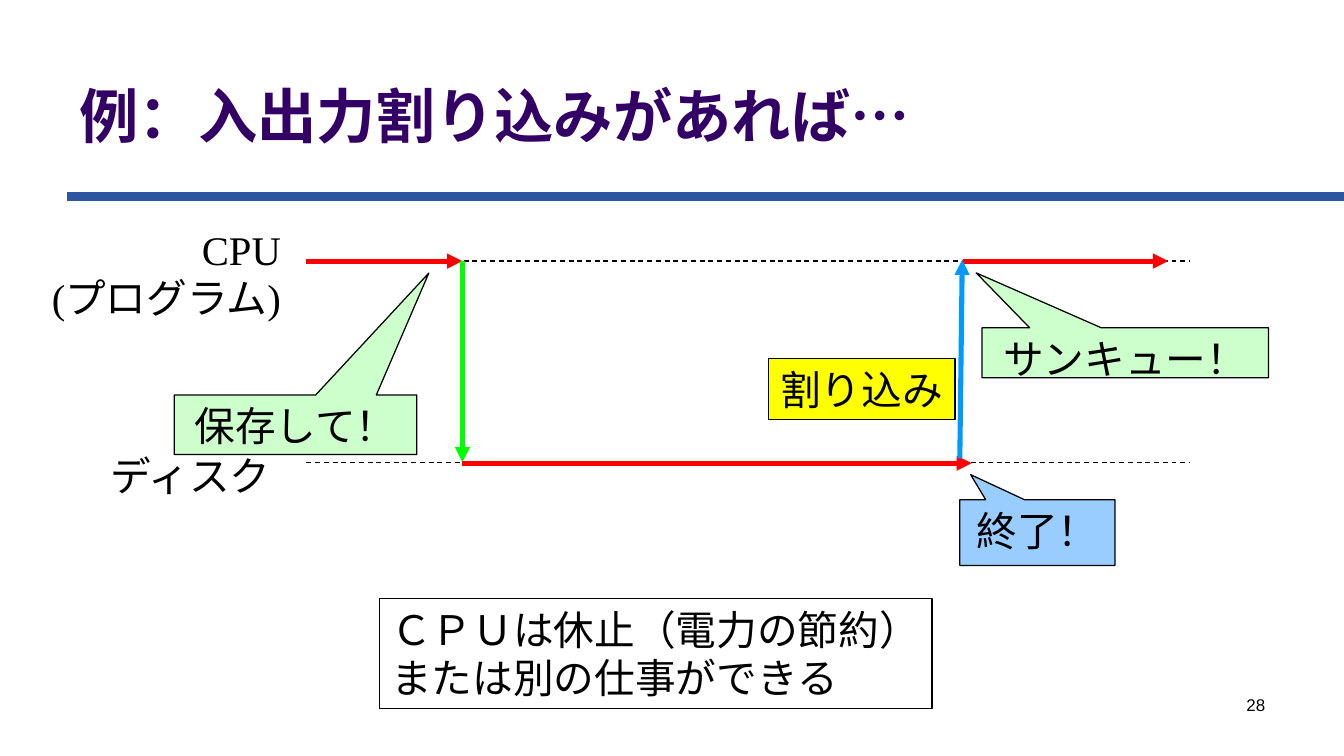
from lxml import etree
from pptx import Presentation
from pptx.dml.color import RGBColor
from pptx.enum.dml import MSO_LINE
from pptx.enum.shapes import MSO_CONNECTOR, MSO_SHAPE
from pptx.enum.text import MSO_ANCHOR, PP_ALIGN
from pptx.oxml.ns import qn
from pptx.util import Cm, Pt

STRAIGHT, DASH = MSO_CONNECTOR.STRAIGHT, MSO_LINE.DASH
RECT, CALLOUT = MSO_SHAPE.RECTANGLE, MSO_SHAPE.RECTANGULAR_CALLOUT
TOP, BOTTOM = MSO_ANCHOR.TOP, MSO_ANCHOR.BOTTOM
LEFT, CENTER, RIGHT = PP_ALIGN.LEFT, PP_ALIGN.CENTER, PP_ALIGN.RIGHT
SERIF, SANS, GOTHIC = "Times New Roman", "Arial", "Noto Sans CJK JP"
COLORS = {
    "black": "000000", "white": "FFFFFF", "navy": "2D56A0", "purple": "330066",
    "red": "FF0000", "green": "00FF00", "blue": "0099FF",
    "mint": "CCFFCC", "sky": "99CCFF", "yellow": "FFFF00",
}
RGB = {name: RGBColor.from_string(code) for name, code in COLORS.items()}


def write(shape, text, align=LEFT, size=24, font=SERIF, color="black",
          bold=False, wrap=True, anchor=TOP):
    """Fill a shape with text, one paragraph per line."""
    frame = shape.text_frame
    frame.text = text
    frame.word_wrap = wrap
    frame.vertical_anchor = anchor
    for para in frame.paragraphs:
        para.alignment = align
        para.font.size = Pt(size)
        para.font.bold = bold
        para.font.color.rgb = RGB[color]
        para.font.name = font
        props = para._p.pPr.find(qn("a:defRPr"))
        etree.SubElement(props, qn("a:ea"), typeface=GOTHIC)


def draw(start, end, color, width, dash=None, arrow=False):
    """Draw a straight line between two points given in centimetres."""
    line = slide.shapes.add_connector(
        STRAIGHT, *(Cm(v) for v in (*start, *end)))
    line.line.color.rgb = RGB[color]
    line.line.width = Pt(width)
    if dash:
        line.line.dash_style = dash
    if arrow:
        etree.SubElement(line.line._get_or_add_ln(), qn("a:tailEnd"),
                         type="triangle")
    etree.SubElement(line._element.spPr, qn("a:effectLst"))


deck = Presentation()
deck.slide_width, deck.slide_height = Cm(27.99), Cm(15.75)
slide = deck.slides.add_slide(deck.slide_layouts[5])

title = slide.shapes.title
title.left, title.top = Cm(1.4), Cm(0.28)
title.width, title.height = Cm(23.09), Cm(2.97)
write(title, "例：入出力割り込みがあれば…", size=35, font=GOTHIC,
      color="purple", bold=True, anchor=BOTTOM)
draw((1.4, 4.09), (27.99, 4.09), "navy", 5.67)

# Time lines
CPU, DISK = 5.44, 9.63
SAVE, DONE = 9.63, 20.05
for y in (CPU, DISK):
    draw((6.38, y), (24.79, y), "black", 0.75, dash=DASH)

# Labels
labels = [
    ("CPU\n(プログラム)", (0.79, 4.55, 5.31, 2.29), RIGHT, 24, SERIF, True),
    ("ディスク", (2.06, 9.27, 3.89, 1.27), LEFT, 24, SERIF, False),
    ("28", (20.07, 14.35, 6.53, 1.04), RIGHT, 10, SANS, True),
]
for text, place, align, size, font, wrap in labels:
    box = slide.shapes.add_textbox(*(Cm(v) for v in place))
    write(box, text, align, size, font, wrap=wrap)

# Flow of control
flow = [
    ((6.38, CPU), (SAVE, CPU), "red"),
    ((SAVE, CPU), (SAVE, DISK), "green"),
    ((DONE, CPU), (24.33, CPU), "red"),
    ((SAVE, 9.65), (20.24, 9.65), "red"),
    ((19.99, 9.55), (20.04, 5.41), "blue"),
]
for start, end, color in flow:
    draw(start, end, color, 3, arrow=True)

# Callouts and notes
boxes = [
    ("保存して！", (3.63, 8.23, 5.05, 1.24), "mint", (0.55, -2.55)),
    ("サンキュー！", (20.45, 6.83, 5.97, 1.04), "mint", (-0.52, -1.6)),
    ("終了！", (19.99, 10.41, 3.23, 1.37), "sky", (-0.43, -0.88)),
    ("割り込み", (16, 7.47, 3.89, 1.27), "yellow", None),
    ("ＣＰＵは休止（電力の節約）\nまたは別の仕事ができる",
     (7.9, 12.47, 11.51, 2.29), "white", None),
]
for text, place, fill, tip in boxes:
    box = slide.shapes.add_shape(CALLOUT if tip else RECT,
                                 *(Cm(v) for v in place))
    box.shadow.inherit = False
    box.fill.solid()
    box.fill.fore_color.rgb = RGB[fill]
    box.line.color.rgb = RGB["black"]
    box.line.width = Pt(0.75 if tip else 0)
    if tip:
        box.adjustments[0], box.adjustments[1] = tip
    write(box, text, CENTER if tip else LEFT, wrap=bool(tip))

deck.save("out.pptx")
